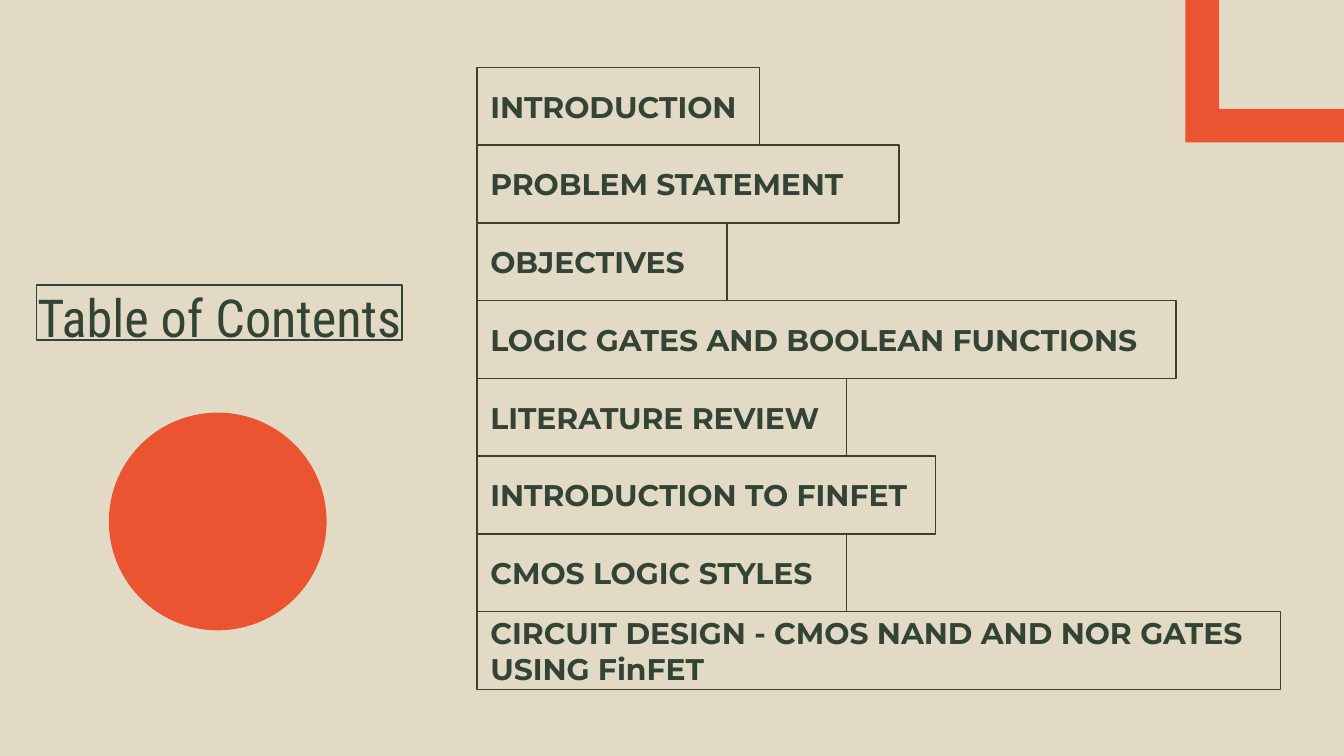
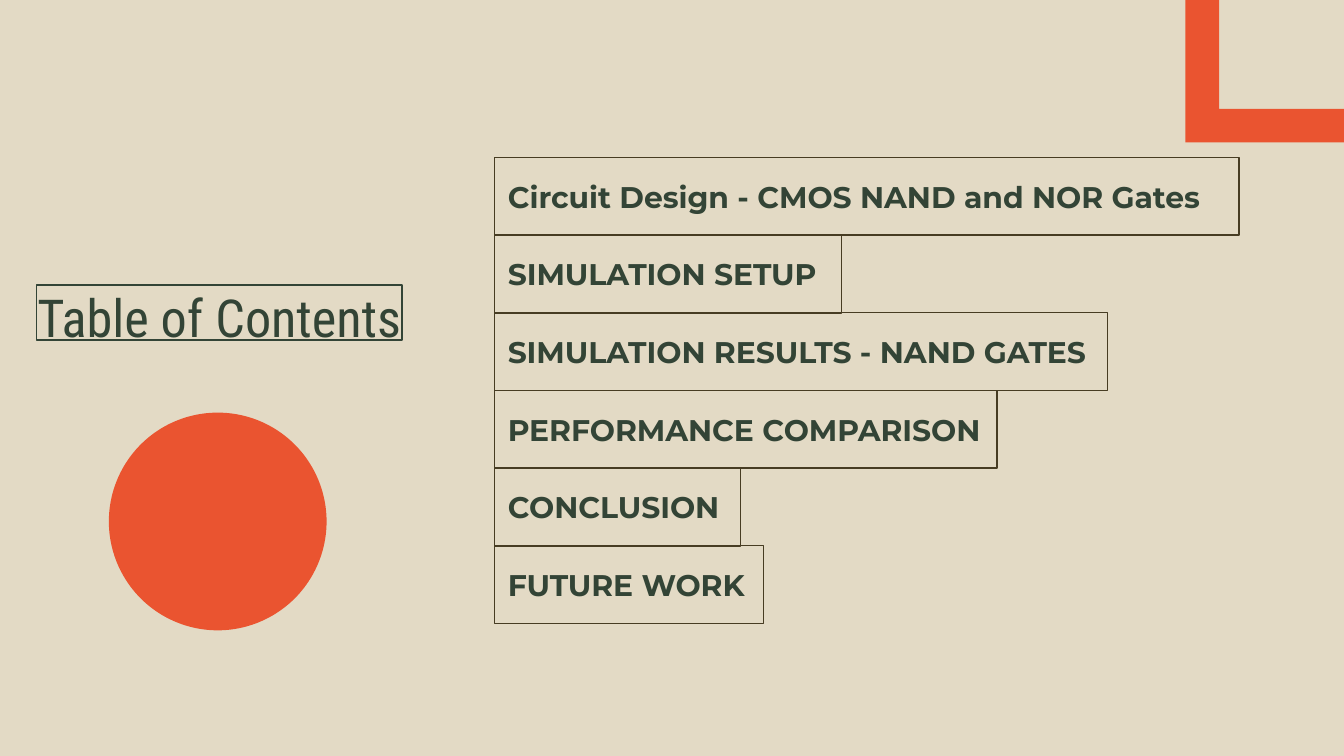
from pptx import Presentation
from pptx.dml.color import RGBColor
from pptx.enum.shapes import MSO_SHAPE
from pptx.enum.text import MSO_ANCHOR, PP_ALIGN
from pptx.util import Inches, Pt

SAND = RGBColor(0xE3, 0xDA, 0xC5)
ORANGE = RGBColor(0xEA, 0x54, 0x30)
GREEN = RGBColor(0x33, 0x44, 0x36)
BROWN = RGBColor(0x47, 0x3C, 0x23)

ENTRY_HEIGHT = 0.58
FRAME_OUTER = [(8.82, -3.32), (8.82, 1.06), (12.91, 1.06), (12.91, -3.32)]
FRAME_INNER = [(12.66, -3.08), (12.66, 0.81), (9.07, 0.81), (9.07, -3.08)]

CONTENTS = [
    {
        "left": 3.55, "first_top": 0.5, "last_top": 4.55,
        "entries": [
            ("INTRODUCTION", 2.1),
            ("PROBLEM STATEMENT", 3.14),
            ("OBJECTIVES", 1.86),
            ("LOGIC GATES AND BOOLEAN FUNCTIONS", 5.2),
            ("LITERATURE REVIEW", 2.75),
            ("INTRODUCTION TO FINFET", 3.41),
            ("CMOS LOGIC STYLES", 2.75),
            ("CIRCUIT DESIGN - CMOS NAND AND NOR GATES USING FinFET", 5.98),
        ],
    },
    {
        "left": 3.68, "first_top": 1.17, "last_top": 4.06,
        "entries": [
            ("Circuit Design - CMOS NAND and NOR Gates", 5.54),
            ("SIMULATION SETUP", 2.58),
            ("SIMULATION RESULTS - NAND GATES", 4.56),
            ("PERFORMANCE COMPARISON", 3.74),
            ("CONCLUSION", 1.83),
            ("FUTURE WORK", 2),
        ],
    },
]


def add_text(slide, text, left, top, width, height, *, size=16, font="Montserrat",
             bold=True, outline=BROWN, inset=0.1, align=PP_ALIGN.LEFT,
             anchor=MSO_ANCHOR.MIDDLE):
    box = slide.shapes.add_textbox(Inches(left), Inches(top), Inches(width), Inches(height))
    box.line.color.rgb = outline
    box.line.width = Pt(0.75)
    frame = box.text_frame
    frame.word_wrap = True
    frame.vertical_anchor = anchor
    frame.margin_left = frame.margin_right = Inches(inset)
    frame.margin_top = frame.margin_bottom = Inches(inset)
    paragraph = frame.paragraphs[0]
    paragraph.alignment = align
    run = paragraph.add_run()
    run.text = text
    run.font.name = font
    run.font.size = Pt(size)
    run.font.bold = bold
    run.font.color.rgb = GREEN


def add_decor(slide):
    slide.background.fill.solid()
    slide.background.fill.fore_color.rgb = SAND
    circle = slide.shapes.add_shape(
        MSO_SHAPE.OVAL, Inches(0.81), Inches(3.07), Inches(1.62), Inches(1.62))
    outer, inner = [[(Inches(x), Inches(y)) for x, y in outline]
                    for outline in (FRAME_OUTER, FRAME_INNER)]
    builder = slide.shapes.build_freeform(*outer[0])
    builder.add_line_segments(outer[1:])
    builder.move_to(*inner[0])
    builder.add_line_segments(inner[1:])
    for decor in (circle, builder.convert_to_shape()):
        decor.shadow.inherit = False
        decor.fill.solid()
        decor.fill.fore_color.rgb = ORANGE
        decor.line.fill.background()


deck = Presentation()
deck.slide_width = Inches(10)
deck.slide_height = deck.slide_width * 9 // 16

for contents in CONTENTS:
    slide = deck.slides.add_slide(deck.slide_layouts[6])
    add_decor(slide)
    add_text(slide, "Table of Contents", 0.27, 2.12, 2.72, 0.41, size=28,
             font="Roboto Condensed", bold=False, outline=GREEN, inset=0,
             align=PP_ALIGN.CENTER, anchor=MSO_ANCHOR.TOP)
    entries = contents["entries"]
    step = (contents["last_top"] - contents["first_top"]) / (len(entries) - 1)
    for row, (entry, width) in enumerate(entries):
        add_text(slide, entry, contents["left"], contents["first_top"] + row * step,
                 width, ENTRY_HEIGHT)

deck.save("out.pptx")
